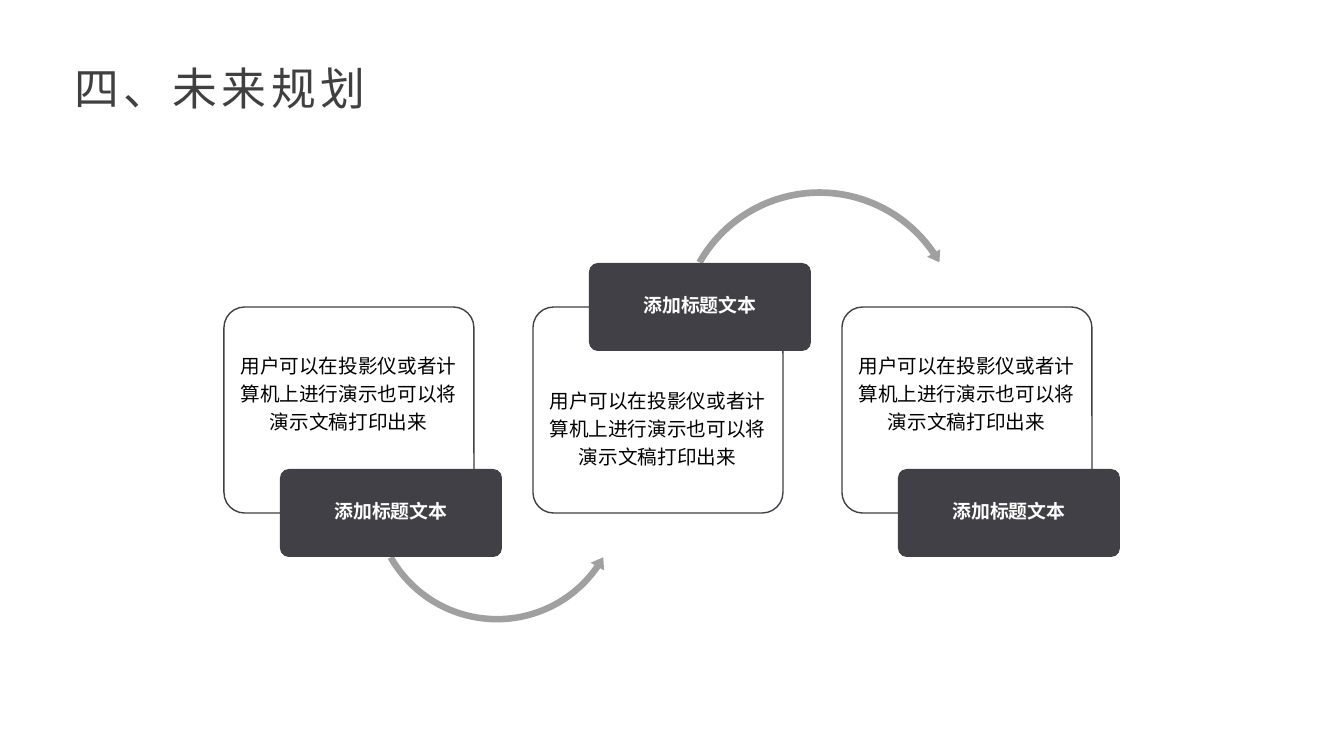
from lxml import etree
from pptx import Presentation
from pptx.dml.color import RGBColor
from pptx.enum.shapes import MSO_SHAPE
from pptx.enum.text import MSO_AUTO_SIZE, PP_ALIGN
from pptx.oxml.ns import qn
from pptx.util import Emu, Pt

ROUNDED = MSO_SHAPE.ROUNDED_RECTANGLE
ARC_OVER = MSO_SHAPE.CIRCULAR_ARROW
ARC_UNDER = MSO_SHAPE.LEFT_CIRCULAR_ARROW
GROW = MSO_AUTO_SIZE.SHAPE_TO_FIT_TEXT
CENTER = PP_ALIGN.CENTER

# Content
TITLE = "四、未来规划"
BODY = "用户可以在投影仪或者计算机上进行演示也可以将演示文稿打印出来"
LABEL = "添加标题文本"
STEPS = [  # label edge, body text, label text
    ("bottom", BODY, LABEL),
    ("top", BODY, LABEL),
    ("bottom", BODY, LABEL),
]
ARCS = [  # preset, left, top, diameter, adjustments; one after each step but the last
    (ARC_UNDER, 367, 367, 260, (0.025, 3.094, 20.849, 90.245, 0.03)),
    (ARC_OVER, 674, 185, 291, (0.023, 2.738, 195.507, 125.755, 0.026)),
]

# Style and sizes in px
FONT = "Calibri"
DARK, GREY, INK, WHITE, BLACK = "404046", "595959", "404040", "FFFFFF", "000000"
PX = 914400 / 100.8
CARD_LEFT, CARD_TOP, CARD_W, CARD_H, CARD_STEP = 224, 307, 250, 206, 309
LABEL_W, LABEL_H, LABEL_SHIFT = 222, 88, 56
BODY_W, BODY_H = 241, 96


def px(*lengths):
    return [Emu(round(length * PX)) for length in lengths]


def color(hex_value):
    return RGBColor.from_string(hex_value)


def add_block(preset, box, adjustments, fill=None, line=None, opacity=None):
    block = slide.shapes.add_shape(preset, *px(*box))
    block.shadow.inherit = False
    for index, value in enumerate(adjustments):
        block.adjustments[index] = value
    if fill:
        block.fill.solid()
        block.fill.fore_color.rgb = color(fill)
    else:
        block.fill.background()
    if line:
        block.line.color.rgb = color(line)
        block.line.width = Pt(1)
    else:
        block.line.fill.background()
    if opacity:
        tint = block.fill._xPr.find(qn("a:solidFill"))[0]
        etree.SubElement(tint, qn("a:alpha")).set("val", str(opacity * 1000))


def add_text(text, box, size, ink, bold=False, align=None, leading=None, tracking=0):
    frame = slide.shapes.add_textbox(*px(*box)).text_frame
    frame.word_wrap = True
    frame.auto_size = GROW
    paragraph = frame.paragraphs[0]
    paragraph.alignment = align
    paragraph.line_spacing = leading
    run = paragraph.add_run()
    run.text = text
    run.font.name = FONT
    run.font.size = Pt(size)
    run.font.bold = bold
    run.font.color.rgb = color(ink)
    if tracking:
        run.font._element.set("spc", str(tracking * 100))


prs = Presentation()
prs.slide_width, prs.slide_height = px(1344, 756)
slide = prs.slides.add_slide(prs.slide_layouts[6])

# Title
add_text(TITLE, (65, 56, 370, 65), 32, INK, tracking=3)

# Steps: card, arc to the next step, label centred on the card's edge
for number, (edge, body, label) in enumerate(STEPS):
    left = CARD_LEFT + number * CARD_STEP
    on_top = edge == "top"
    label_left = left + LABEL_SHIFT
    label_top = CARD_TOP + (0 if on_top else CARD_H) - LABEL_H // 2
    body_top = CARD_TOP + (72 if on_top else 37)

    add_block(ROUNDED, (left, CARD_TOP, CARD_W, CARD_H), [0.1], line=DARK)
    if number < len(ARCS):
        preset, arc_left, arc_top, diameter, bends = ARCS[number]
        add_block(preset, (arc_left, arc_top, diameter, diameter), bends,
                  fill=GREY, opacity=57)
    add_block(ROUNDED, (label_left, label_top, LABEL_W, LABEL_H), [0.1], fill=DARK)
    add_text(body, (left + 4, body_top, BODY_W, BODY_H), 14, BLACK,
             align=CENTER, leading=1.2)
    add_text(label, (label_left, label_top + 21, LABEL_W, 35), 13.5, WHITE,
             bold=True, align=CENTER, leading=1.2)

prs.save("out.pptx")
